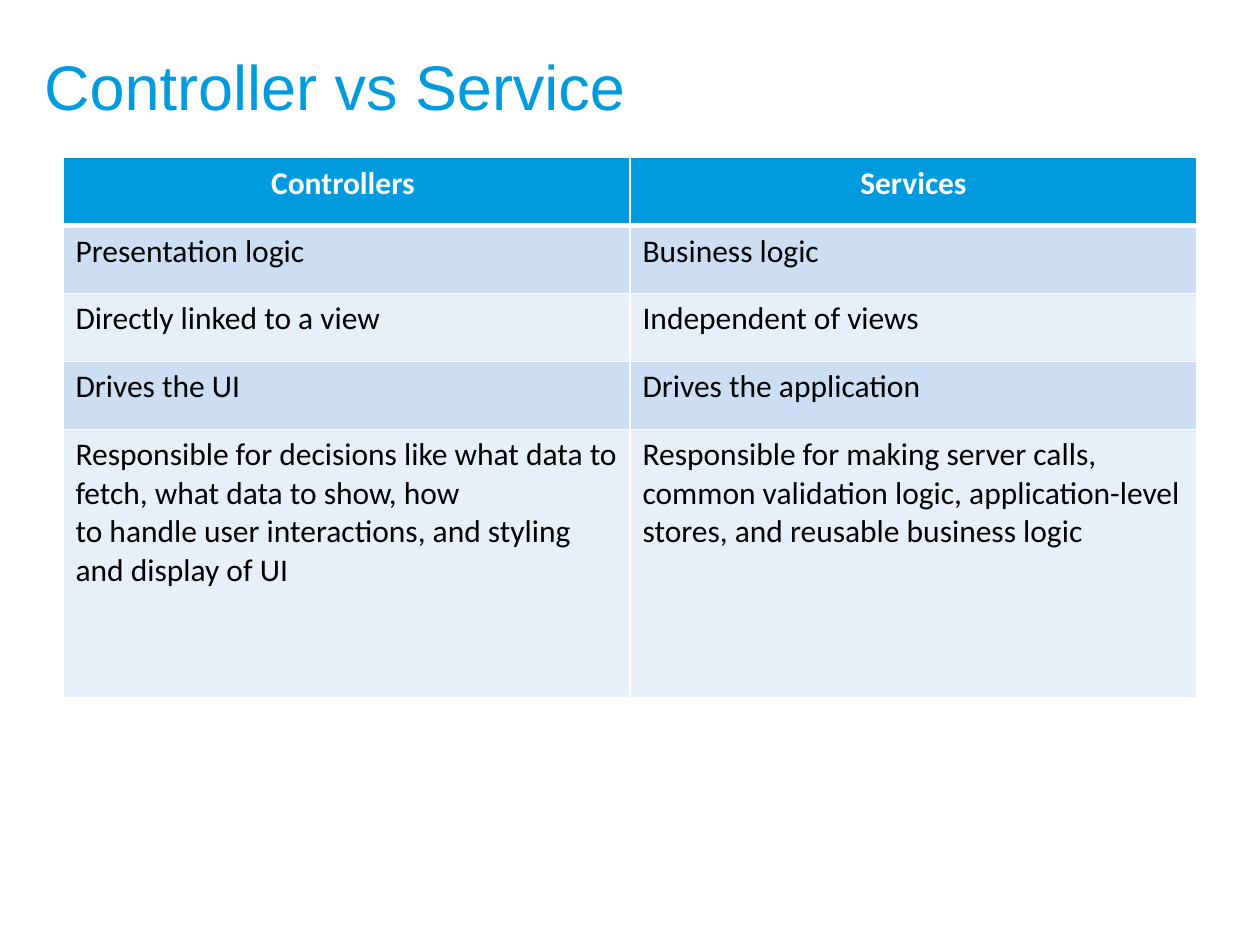
import pptx
import pptx.dml.color
import pptx.enum.text
import pptx.oxml
import pptx.oxml.ns
import pptx.util
from dataclasses import dataclass
from pptx.util import Cm


@dataclass(frozen=True)
class Theme:
    accent: str = "009BDF"
    white: str = "FFFFFF"
    text: str = "000000"
    bands: tuple = ("E7EFF9", "CCDEF3")
    title_font: str = "Arial"
    table_font: str = "Calibri"
    title_size: int = 36
    table_size: int = 18


theme = Theme()


def format_runs(paragraph, font_name, size, color, bold=False):
    for run in paragraph.runs:
        run.font.name = font_name
        run.font.size = pptx.util.Pt(size)
        run.font.bold = bold
        run.font.color.rgb = pptx.dml.color.RGBColor.from_string(color)


def add_border(cell, side, points):
    cell_properties = cell._tc.get_or_add_tcPr()
    cell_properties.append(pptx.oxml.parse_xml(
        f'<a:ln{side} {pptx.oxml.ns.nsdecls("a")} w="{pptx.util.Pt(points)}">'
        f'<a:solidFill><a:srgbClr val="{theme.white}"/></a:solidFill></a:ln{side}>'
    ))


presentation = pptx.Presentation()
presentation.slide_width = Cm(25.4)
presentation.slide_height = Cm(19.05)
slide = presentation.slides.add_slide(presentation.slide_layouts[5])

title = slide.shapes.title
title.left, title.top, title.width, title.height = Cm(0.89), Cm(1.14), Cm(17.63), Cm(1.6)
title_frame = title.text_frame
title_frame.text = "Controller vs Service"
title_frame.margin_left = title_frame.margin_right = 0
title_frame.margin_top = title_frame.margin_bottom = 0
title_frame.vertical_anchor = pptx.enum.text.MSO_ANCHOR.TOP
title_paragraph = title_frame.paragraphs[0]
title_paragraph.alignment = pptx.enum.text.PP_ALIGN.LEFT
title_paragraph.line_spacing = 0.9
format_runs(title_paragraph, theme.title_font, theme.title_size, theme.accent)

comparison = [
    ("Controllers ", "Services"),
    ("Presentation logic", "Business logic"),
    ("Directly linked to a view", "Independent of views"),
    ("Drives the UI", "Drives the application"),
    (
        "Responsible for decisions like what data to fetch, what data to show, how\n"
        "to handle user interactions, and styling and display of UI",
        "Responsible for making server calls, common validation logic, "
        "application-level stores, and reusable business logic",
    ),
]
row_heights = [Cm(1.37)] * 4 + [Cm(5.41)]

table = slide.shapes.add_table(
    len(comparison), 2, Cm(1.27), Cm(3.18), Cm(22.86), sum(row_heights)
).table

for row_index, (row_texts, row_height) in enumerate(zip(comparison, row_heights)):
    table.rows[row_index].height = row_height
    is_header = row_index == 0
    fill_color = theme.accent if is_header else theme.bands[row_index % 2]
    text_color = theme.white if is_header else theme.text
    border_widths = {
        "L": 1,
        "R": 1,
        "T": 3 if row_index == 1 else 1,
        "B": 3 if is_header else 1,
    }
    for column_index, text in enumerate(row_texts):
        cell = table.cell(row_index, column_index)
        for side, points in border_widths.items():
            add_border(cell, side, points)
        cell.fill.solid()
        cell.fill.fore_color.rgb = pptx.dml.color.RGBColor.from_string(fill_color)
        cell.text_frame.text = text
        for paragraph in cell.text_frame.paragraphs:
            if is_header:
                paragraph.alignment = pptx.enum.text.PP_ALIGN.CENTER
            format_runs(paragraph, theme.table_font, theme.table_size, text_color, is_header)

presentation.save("out.pptx")
